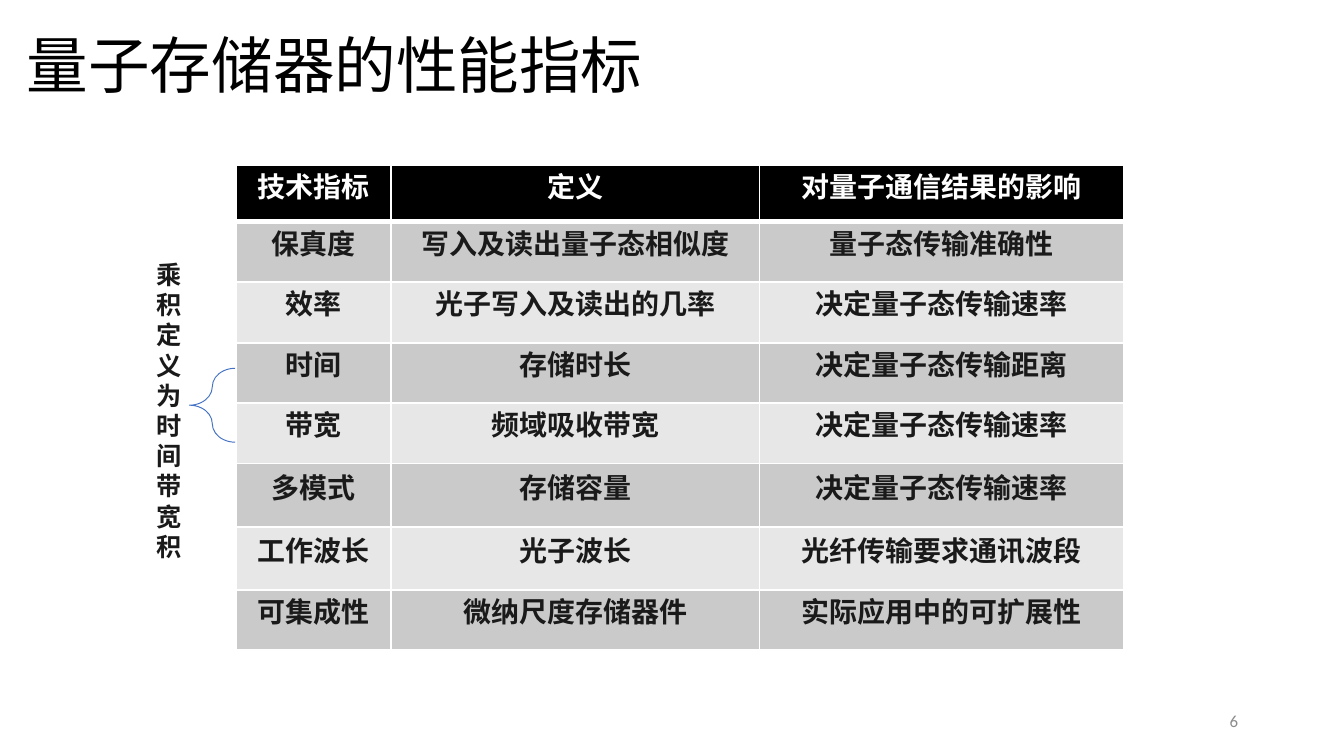
import pptx
import pptx.dml.color
import pptx.enum.shapes
import pptx.enum.text
import pptx.oxml
import pptx.oxml.ns
import pptx.util

Pt = pptx.util.Pt
ALIGN = pptx.enum.text.PP_ALIGN
ANCHOR = pptx.enum.text.MSO_ANCHOR

FONT = "Calibri"
COLORS = {
    "title": "000000",
    "text": "1A1A1A",
    "number": "8C8C8C",
    "header": "000000",
    "header_text": "FFFFFF",
    "border": "FFFFFF",
    "odd_row": "CACACA",
    "even_row": "E7E7E7",
    "brace": "4472C4",
}

COLUMN_WIDTHS = [82.8, 197.3, 195.1]
ROW_HEIGHTS = [30.2, 32.4, 32.4, 32.4, 32.4, 33.8, 33.8, 32.4]
LINE_SPACING = {5: 23.1, 6: 23}
ROWS = [
    ["技术指标", "定义", "对量子通信结果的影响"],
    ["保真度", "写入及读出量子态相似度", "量子态传输准确性"],
    ["效率", "光子写入及读出的几率", "决定量子态传输速率"],
    ["时间", "存储时长", "决定量子态传输距离"],
    ["带宽", "频域吸收带宽", "决定量子态传输速率"],
    ["多模式", "存储容量", "决定量子态传输速率"],
    ["工作波长", "光子波长", "光纤传输要求通讯波段"],
    ["可集成性", "微纳尺度存储器件", "实际应用中的可扩展性"],
]


def rgb(name):
    return pptx.dml.color.RGBColor.from_string(COLORS[name])


def write_text(frame, text, size, color, bold=False, align=ALIGN.LEFT, spacing=None):
    paragraph = frame.paragraphs[0]
    paragraph.alignment = align
    if spacing:
        paragraph.line_spacing = spacing
    run = paragraph.add_run()
    run.text = text
    run.font.name = FONT
    run.font.size = Pt(size)
    run.font.bold = bold
    run.font.color.rgb = rgb(color)


def add_text_box(slide, left, top, width, height, text, anchor=ANCHOR.TOP, **text_format):
    box = slide.shapes.add_textbox(Pt(left), Pt(top), Pt(width), Pt(height))
    box.text_frame.word_wrap = True
    box.text_frame.vertical_anchor = anchor
    write_text(box.text_frame, text, **text_format)


def set_borders(cell, **widths):
    properties = cell._tc.get_or_add_tcPr()
    # Border lines come before the fill in the cell properties
    for position, side in enumerate(("L", "R", "T", "B")):
        line = pptx.oxml.parse_xml(
            f'<a:ln{side} {pptx.oxml.ns.nsdecls("a")} w="{Pt(widths.get(side, 1))}">'
            f'<a:solidFill><a:srgbClr val="{COLORS["border"]}"/></a:solidFill></a:ln{side}>'
        )
        properties.insert(position, line)


def fill_cell(cell, text, row):
    is_header = row == 0
    cell.margin_left = cell.margin_right = cell.margin_top = cell.margin_bottom = 0
    cell.fill.solid()
    cell.fill.fore_color.rgb = rgb(
        "header" if is_header else "odd_row" if row % 2 else "even_row"
    )
    set_borders(cell, T=3 if row == 1 else 1, B=3 if is_header else 1)
    write_text(
        cell.text_frame, text, size=15, bold=True, align=ALIGN.CENTER,
        color="header_text" if is_header else "text",
        spacing=Pt(LINE_SPACING[row]) if row in LINE_SPACING else None,
    )


def add_indicator_table(slide, left, top):
    table = slide.shapes.add_table(
        len(ROWS), len(COLUMN_WIDTHS), Pt(left), Pt(top),
        Pt(sum(COLUMN_WIDTHS)), Pt(sum(ROW_HEIGHTS)),
    ).table
    for column, width in zip(table.columns, COLUMN_WIDTHS):
        column.width = Pt(width)
    for row, (height, texts) in enumerate(zip(ROW_HEIGHTS, ROWS)):
        table.rows[row].height = Pt(height)
        for column, text in enumerate(texts):
            fill_cell(table.cell(row, column), text, row)


def add_brace(slide, left, top, width, height):
    brace = slide.shapes.add_shape(
        pptx.enum.shapes.MSO_SHAPE.LEFT_BRACE, Pt(left), Pt(top), Pt(width), Pt(height)
    )
    brace.adjustments[0] = 0.82
    brace.adjustments[1] = 0.5
    brace.shadow.inherit = False
    brace.fill.background()
    brace.line.color.rgb = rgb("brace")
    brace.line.width = Pt(0.5)


def main():
    presentation = pptx.Presentation()
    presentation.slide_width = Pt(720)
    presentation.slide_height = Pt(405)
    slide = presentation.slides.add_slide(presentation.slide_layouts[6])

    # Title and slide number
    add_text_box(slide, 7.2, 13.7, 389.5, 46.1, "量子存储器的性能指标",
                 anchor=ANCHOR.MIDDLE, size=33, color="title", spacing=0.9)
    add_text_box(slide, 508.3, 375.1, 162, 21.6, "6",
                 anchor=ANCHOR.MIDDLE, size=9, color="number", align=ALIGN.RIGHT)

    # Performance indicators
    add_indicator_table(slide, 126.7, 88.6)

    # Note that joins time and bandwidth
    add_brace(slide, 101.5, 197.3, 24.5, 39.6)
    add_text_box(slide, 77, 135.4, 24.5, 170.6, "乘积定义为时间带宽积",
                 size=13.5, color="text", bold=True)

    presentation.save("out.pptx")


if __name__ == "__main__":
    main()
